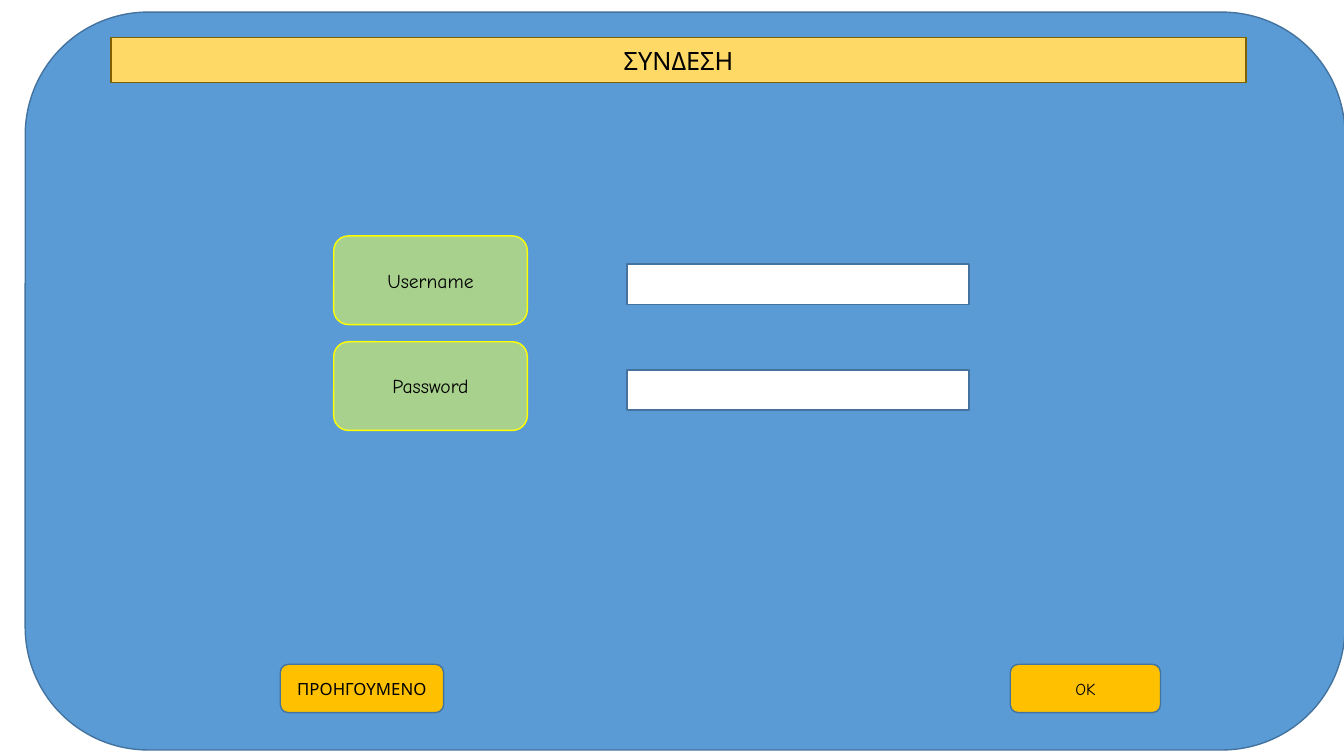
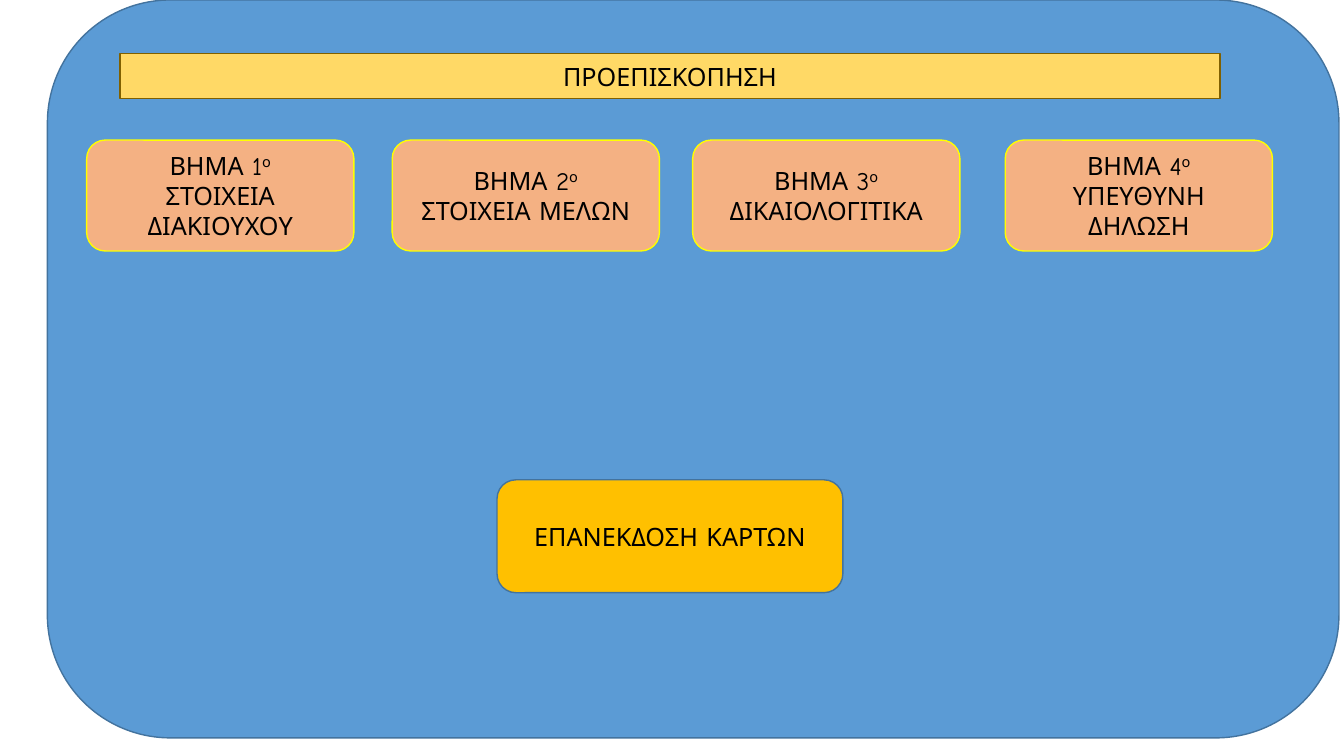
from pptx import Presentation
from pptx.dml.color import RGBColor
from pptx.enum.shapes import MSO_SHAPE as Shape
from pptx.enum.text import MSO_ANCHOR as Anchor, PP_ALIGN as Align
from pptx.util import Inches, Pt

FONT = "Comic Neue"
BLACK, WHITE = "000000", "FFFFFF"
BLUE, BLUE_LINE = "5B9BD5", "43739E"
TITLE_FILL, TITLE_LINE = "FFD966", "806000"
GREEN, ORANGE, YELLOW, GOLD = "A9D18E", "F4B183", "FFFF00", "FFC000"


def color(value):
    return RGBColor.from_string(value)


def add_box(slide, kind, box, fill, line):
    """Add a flat filled shape; box is left, top, width, height in inches."""
    shape = slide.shapes.add_shape(kind, *(Inches(length) for length in box))
    shape.shadow.inherit = False
    shape.fill.solid()
    shape.fill.fore_color.rgb = color(fill)
    shape.line.color.rgb = color(line)
    shape.line.width = Pt(1)
    return shape


def style_paragraph(paragraph, size):
    paragraph.alignment = Align.CENTER
    paragraph.font.name = FONT
    paragraph.font.size = Pt(size)
    paragraph.font.color.rgb = color(BLACK)


def add_label(slide, kind, box, text, size, fill, line):
    """Add a shape with centred text, one paragraph per line of text."""
    frame = add_box(slide, kind, box, fill, line).text_frame
    frame.word_wrap = True
    frame.vertical_anchor = Anchor.MIDDLE
    frame.text = text
    for paragraph in frame.paragraphs:
        style_paragraph(paragraph, size)
    return frame


def add_button(slide, box, text, size):
    add_label(slide, Shape.ROUNDED_RECTANGLE, box, text, size, GOLD, BLUE_LINE)


def add_screen(presentation, panel, title_box, title):
    """Add a slide with the blue panel and its title band."""
    slide = presentation.slides.add_slide(presentation.slide_layouts[6])
    add_box(slide, Shape.ROUNDED_RECTANGLE, panel, BLUE, BLUE_LINE)
    add_label(slide, Shape.RECTANGLE, title_box, title, 18, TITLE_FILL, TITLE_LINE)
    return slide


def add_field(slide, left, top, name):
    """Add a field name and the input to its right."""
    add_label(slide, Shape.ROUNDED_RECTANGLE, (left, top, 1.92, 0.88),
              name, 14, GREEN, YELLOW)
    add_box(slide, Shape.RECTANGLE, (left + 2.91, top + 0.28, 3.39, 0.4),
            WHITE, BLUE_LINE)


def add_step(slide, box, number, name):
    """Add a step: its number with a raised ending, then its name."""
    frame = add_label(slide, Shape.ROUNDED_RECTANGLE, box,
                      f"ΒΗΜΑ {number}\n{name}", 18, ORANGE, YELLOW)
    ending = frame.paragraphs[0].add_run()
    ending.text = "ο"
    ending.font._element.set("baseline", "30000")


def build_login(presentation):
    slide = add_screen(presentation, (0.25, 0.12, 13.09, 7.32),
                       (1.1, 0.37, 11.26, 0.45), "ΣΥΝΔΕΣΗ")
    for row, name in enumerate(("Username", "Password")):
        add_field(slide, 3.31, 2.34 + row * 1.05, name)
    # Navigation
    for left, width, text in ((2.78, 1.62, "ΠΡΟΗΓΟΥΜΕΝΟ"), (10.02, 1.49, "OK")):
        add_button(slide, (left, 6.59, width, 0.48), text, 12)


def build_preview(presentation):
    slide = add_screen(presentation, (0.47, 0, 12.81, 7.32),
                       (1.19, 0.53, 10.91, 0.45), "ΠΡΟΕΠΙΣΚΟΠΗΣΗ")
    # Steps
    steps = (
        (0.86, "ΣΤΟΙΧΕΙΑ ΔΙΑΚΙΟΥΧΟΥ"),
        (3.89, "ΣΤΟΙΧΕΙΑ ΜΕΛΩΝ"),
        (6.87, "ΔΙΚΑΙΟΛΟΓΙΤΙΚΑ"),
        (9.97, "ΥΠΕΥΘΥΝΗ ΔΗΛΩΣΗ"),
    )
    for number, (left, name) in enumerate(steps, 1):
        add_step(slide, (left, 1.39, 2.65, 1.1), number, name)
    # Reissue
    add_button(slide, (4.93, 4.76, 3.43, 1.12), "ΕΠΑΝΕΚΔΟΣΗ ΚΑΡΤΩΝ", 18)


def main():
    presentation = Presentation()
    presentation.slide_width = Inches(13.33)
    presentation.slide_height = Inches(7.5)
    build_login(presentation)
    build_preview(presentation)
    presentation.save("out.pptx")


if __name__ == "__main__":
    main()
